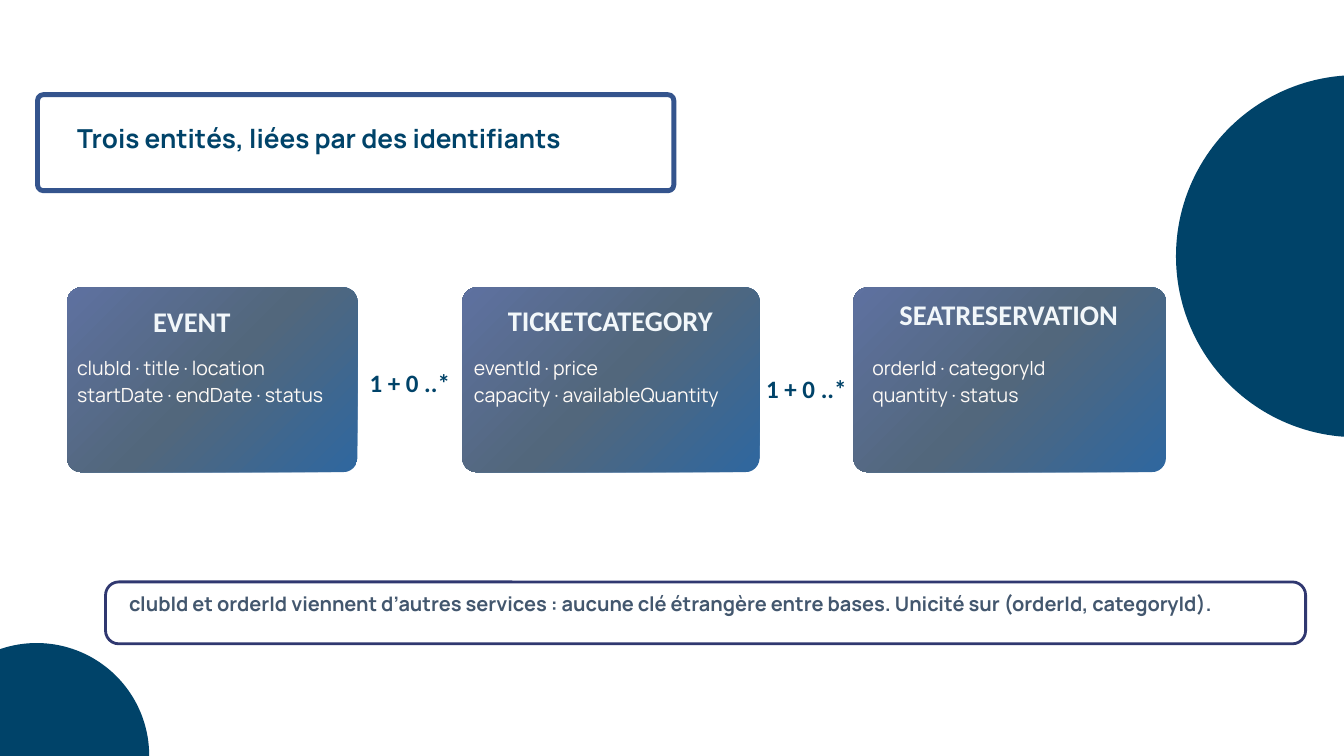
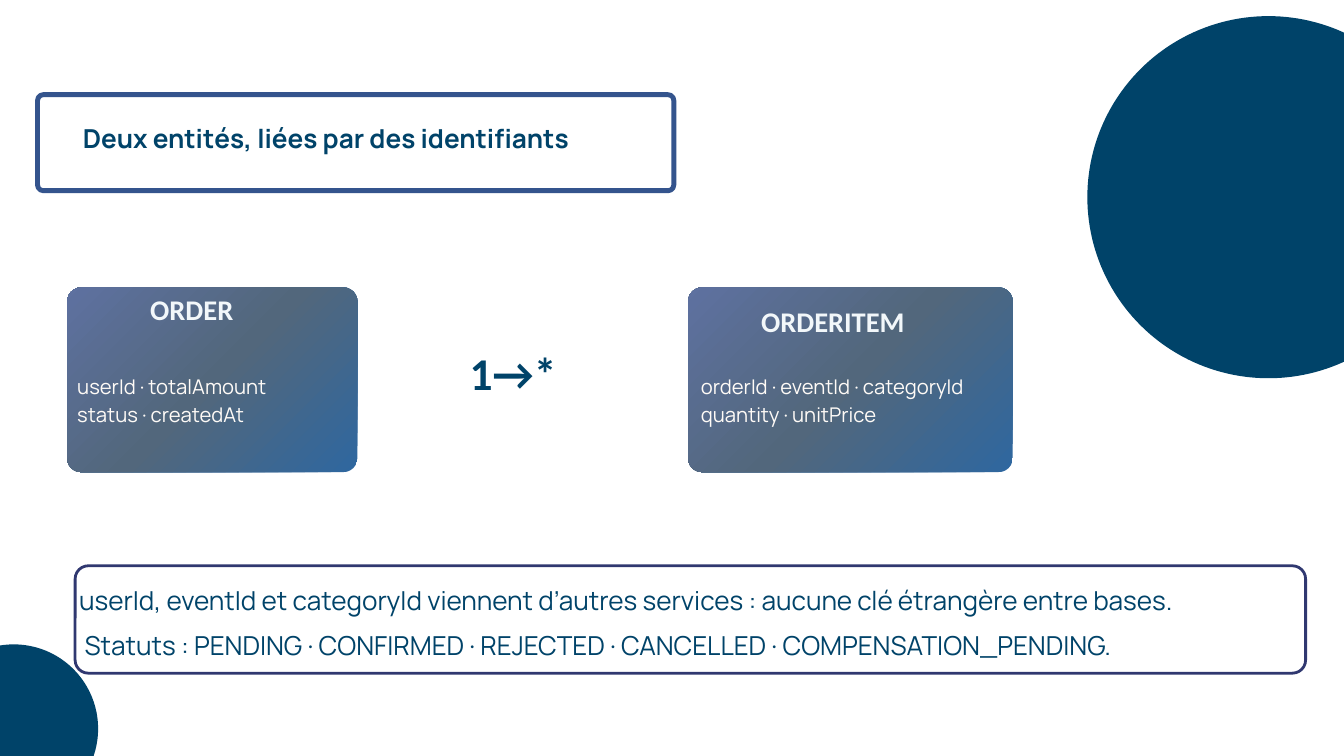
from lxml import etree
from pptx import Presentation
from pptx.dml.color import RGBColor
from pptx.enum.shapes import MSO_SHAPE
from pptx.enum.text import MSO_ANCHOR, MSO_AUTO_SIZE, PP_ALIGN
from pptx.oxml import parse_xml
from pptx.oxml.ns import nsdecls
from pptx.util import Cm, Pt

OVAL, ROUNDED = MSO_SHAPE.OVAL, MSO_SHAPE.ROUNDED_RECTANGLE
LEFT, CENTER = PP_ALIGN.LEFT, PP_ALIGN.CENTER
TOP, MIDDLE = MSO_ANCHOR.TOP, MSO_ANCHOR.MIDDLE

# Text styles: font, size, line pitch, colour, bold, alignment
THEME = {
    "navy": "004369",
    "title_line": "34548D",
    "note_line": "303870",
    "card_gradient": [(0, "5E71A0"), (50, "52677C"), (100, "2F679F")],
    "title": ("Manrope", 28, 24.1, "004369", True, LEFT),
    "card_heading": ("Calibri", 30.5, 29.6, "F2F7FA", True, CENTER),
    "attributes": ("Manrope", 20.9, 29.3, "FFFBF7", False, LEFT),
    "attributes_large": ("Manrope", 21.7, 30.4, "FFFBF7", False, LEFT),
    "link": ("Calibri", 26.8, 26, "004369", True, CENTER),
    "link_large": ("Calibri", 48.7, 47.2, "004369", True, CENTER),
    "note": ("Manrope", 21.4, 18.4, "43576E", True, LEFT),
    "note_large": ("Manrope", 28, 24.1, "004369", False, LEFT),
}
CARD_TOP, CARD_HEIGHT, CARD_RADIUS = 10.87, 6.98, 0.53
NOTE_RADIUS = 0.5


def add_panel(slide, kind, box, fill=None, line=None, line_width=0, radius=0):
    """Add a preset shape; fill is a colour, a list of gradient stops or None."""
    shape = slide.shapes.add_shape(kind, *map(Cm, box))
    shape.shadow.inherit = False
    if radius:
        shape.adjustments[0] = radius / min(box[2:])
    if isinstance(fill, list):
        stops = "".join(
            f'<a:gs pos="{position * 1000}"><a:srgbClr val="{color}"/></a:gs>'
            for position, color in fill
        )
        gradient = parse_xml(
            f'<a:gradFill {nsdecls("a")} rotWithShape="1"><a:gsLst>{stops}</a:gsLst>'
            '<a:path path="circle"><a:fillToRect r="100000" b="100000"/></a:path>'
            '<a:tileRect l="-100000" t="-100000"/></a:gradFill>'
        )
        shape.element.spPr.find(f"{{{etree.QName(gradient).namespace}}}prstGeom").addnext(gradient)
    elif fill:
        shape.fill.solid()
        shape.fill.fore_color.rgb = RGBColor.from_string(fill)
    else:
        shape.fill.background()
    if line:
        shape.line.color.rgb = RGBColor.from_string(line)
        shape.line.width = Pt(line_width)
    else:
        shape.line.fill.background()


def add_text(slide, box, lines, style, inset=0, anchor=TOP, gap=0, last_indent=0):
    """Add one paragraph per line; gap (points) separates them, last_indent (cm) shifts the last."""
    font_name, size, pitch, color, bold, alignment = THEME[style]
    frame = slide.shapes.add_textbox(*map(Cm, box)).text_frame
    frame_format = {
        "word_wrap": True,
        "vertical_anchor": anchor,
        "auto_size": MSO_AUTO_SIZE.NONE,
        **{f"margin_{side}": Cm(inset) for side in ("left", "top", "right", "bottom")},
    }
    for name, value in frame_format.items():
        setattr(frame, name, value)
    for index, line in enumerate(lines):
        paragraph = frame.paragraphs[0] if index == 0 else frame.add_paragraph()
        paragraph.alignment = alignment
        paragraph.line_spacing = Pt(pitch)
        if index and gap:
            paragraph.space_before = Pt(gap)
        if last_indent and index == len(lines) - 1:
            paragraph._p.get_or_add_pPr().set("marL", str(Cm(last_indent)))
        run = paragraph.add_run()
        run.text = line
        for name, value in {"name": font_name, "size": Pt(size), "bold": bold}.items():
            setattr(run.font, name, value)
        run.font.color.rgb = RGBColor.from_string(color)


# Boxes are (left, top, width, height) in centimetres.
# Cards: (left, width), heading, (heading left, top, width), attributes left, attributes
SLIDES = [
    {
        "circles": [(44.45, 2.84, 13.69, 13.69), (-2.87, 24.31, 8.51, 8.51)],
        "title": "Trois entités, liées par des identifiants",
        "title_left": 2.92,
        "attributes": ("attributes", 13.31, 10.59),
        "cards": [
            ((2.54, 10.97), "EVENT", (2.26, 11.76, 9.98), 2.92,
             ["clubId · title · location", "startDate · endDate · status"]),
            ((17.48, 11.23), "TICKETCATEGORY", (17.45, 11.71, 11.23), 17.91,
             ["eventId · price", "capacity · availableQuantity"]),
            ((32.26, 11.81), "SEATRESERVATION", (32.51, 11.48, 11.23), 32.97,
             ["orderId · categoryId", "quantity · status"]),
        ],
        "link_style": "link",
        "links": [("1 + 0 ..*", (13.89, 14.1, 3.2, 1.07)),
                  ("1 + 0 ..*", (28.88, 14.35, 3.2, 1.07))],
        "note_box": (3.99, 22, 45.36, 2.34),
        "note_text_box": (4.88, 22.63, 43.54, 0.76),
        "note": ["clubId et orderId viennent d’autres services : aucune clé étrangère "
                 "entre bases. Unicité sur (orderId, categoryId)."],
        "note_format": {"style": "note"},
    },
    {
        "circles": [(41.1, 0.61, 13.69, 13.69), (-2.67, 24.36, 6.38, 6.38)],
        "title": "Deux entités, liées par des identifiants",
        "title_left": 3.13,
        "attributes": ("attributes_large", 14, 10.97),
        "cards": [
            ((2.54, 10.97), "ORDER", (2.26, 11.28, 9.98), 2.92,
             ["userId · totalAmount", "status · createdAt"]),
            ((26.01, 12.27), "ORDERITEM", (26.49, 11.76, 9.98), 26.49,
             ["orderId · eventId · categoryId", "quantity · unitPrice"]),
        ],
        "link_style": "link_large",
        "links": [("1→*", (14.05, 13.46, 10.69, 1.9))],
        "note_box": (2.84, 21.39, 46.51, 4.06),
        "note_text_box": (2.84, 21.97, 46.51, 3.45),
        "note": ["userId, eventId et categoryId viennent d’autres services : "
                 "aucune clé étrangère entre bases.",
                 "Statuts : PENDING · CONFIRMED · REJECTED · CANCELLED · COMPENSATION_PENDING."],
        "note_format": {"style": "note_large", "inset": 0.15, "anchor": MIDDLE,
                        "gap": 24.1, "last_indent": 0.21},
    },
]

presentation = Presentation()
presentation.slide_width, presentation.slide_height = Cm(50.8), Cm(28.58)
blank_layout = presentation.slide_layouts[6]

for content in SLIDES:
    slide = presentation.slides.add_slide(blank_layout)
    for circle in content["circles"]:
        add_panel(slide, OVAL, circle, THEME["navy"])

    add_panel(slide, ROUNDED, (1.42, 3.58, 24.05, 3.63), "FFFFFF", THEME["title_line"], 5.25, 0.22)
    add_text(slide, (content["title_left"], 4.98, 31.47, 1.02), [content["title"]], "title")

    attribute_style, attribute_top, attribute_width = content["attributes"]
    for (left, width), heading, heading_place, attribute_left, attributes in content["cards"]:
        add_panel(slide, ROUNDED, (left, CARD_TOP, width, CARD_HEIGHT),
                  THEME["card_gradient"], radius=CARD_RADIUS)
        add_text(slide, (*heading_place, 1.12), [heading], "card_heading")
        add_text(slide, (attribute_left, attribute_top, attribute_width, 2.16),
                 attributes, attribute_style)

    for cardinality, box in content["links"]:
        add_text(slide, box, [cardinality], content["link_style"])

    add_panel(slide, ROUNDED, content["note_box"], None, THEME["note_line"], 3, NOTE_RADIUS)
    add_text(slide, content["note_text_box"], content["note"], **content["note_format"])

presentation.save("out.pptx")
